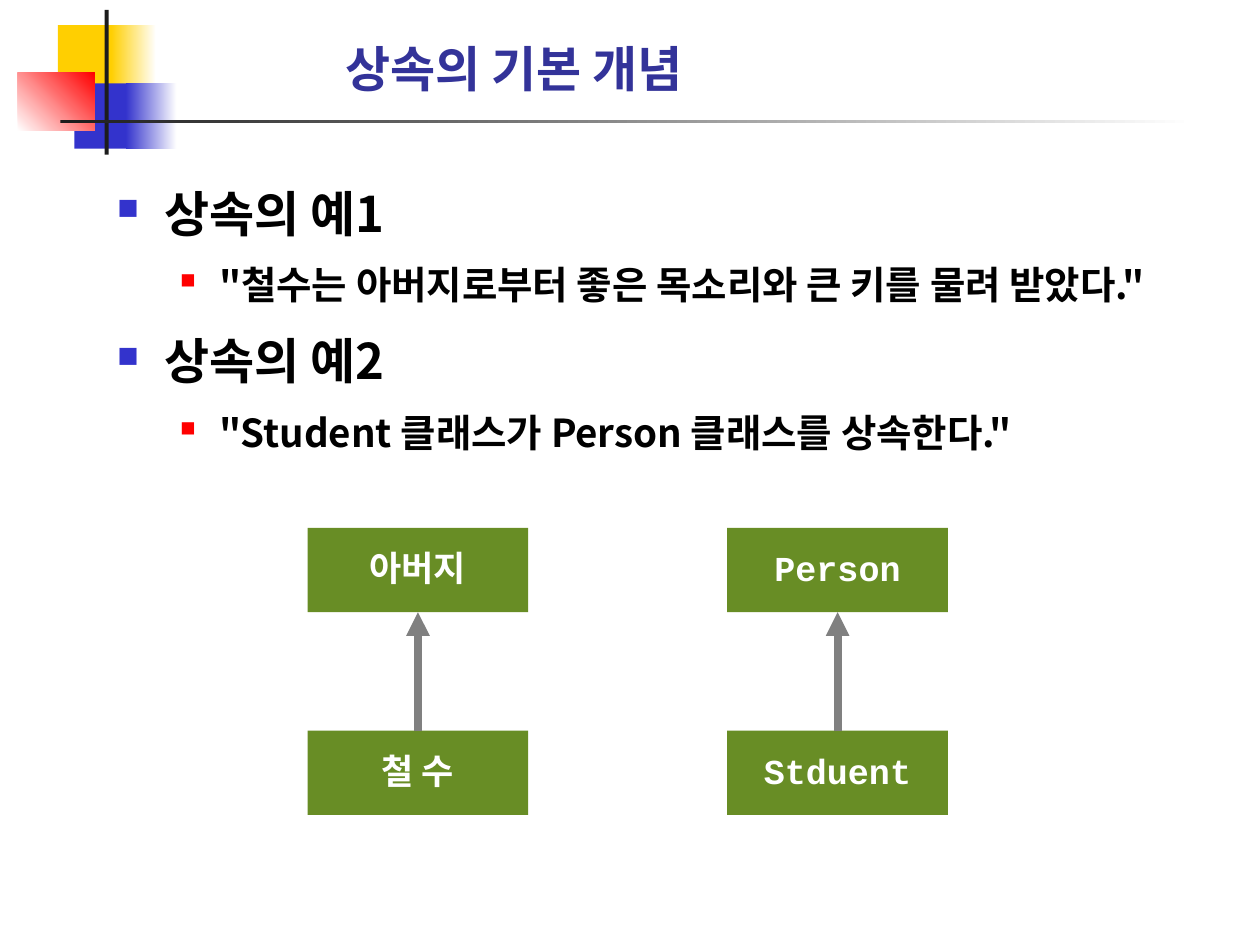
"""Build the slide on the basic idea of inheritance."""
from lxml import etree
from pptx import Presentation, util as u
from pptx.dml.color import RGBColor
from pptx.enum import shapes, text
from pptx.oxml.ns import qn

COLORS = {
    "yellow": "FFCF01", "blue": "3333CC", "red": "FF0000", "ink": "1C1C1C",
    "white": "FFFFFF", "title": "333399", "black": "000000",
    "green": "688D25", "gray": "808080",
}
KOREAN = "Noto Sans CJK KR"
DECOR = [
    (1.17, 0.51, 1.22, 1.32, ["yellow"], 0),
    (2.24, 0.51, 0.91, 1.32, ["yellow", "white"], 0),
    (1.5, 1.68, 1.17, 1.32, ["blue"], 0),
    (2.54, 1.68, 1.02, 1.32, ["blue", "white"], 0),
    (0.36, 1.47, 1.55, 1.17, ["white", "red"], 45),
    (2.11, 0.2, 0.08, 2.92, ["ink"], 0),
    (1.22, 2.41, 22.86, 0.08, ["ink", "white"], 0),
]
LEVELS = [
    {"size": 28, "before": 7, "left": 0.95, "hang": 0.95, "color": "blue", "pct": 60},
    {"size": 22, "before": 5.5, "left": 2.06, "hang": 0.79, "color": "red", "pct": 55},
]
BULLETS = [
    (0, "상속의 예1"),
    (1, '"철수는 아버지로부터 좋은 목소리와 큰 키를 물려 받았다."'),
    (0, "상속의 예2"),
    (1, '"Student 클래스가 Person 클래스를 상속한다."'),
]
PAIRS = [(6.2, "아버지", "철 수"), (14.66, "Person", "Stduent")]
PARENT_TOP, CHILD_TOP = 10.64, 14.73


def rgb(name):
    return RGBColor.from_string(COLORS[name])


def style(p, size, color, font):
    for r in p.runs:
        r.font.size, r.font.bold, r.font.name = u.Pt(size), True, font
        r.font.color.rgb = rgb(color)
        etree.SubElement(r._r.get_or_add_rPr(), qn("a:ea"), typeface=KOREAN)


def add_rect(s, left, top, width, height, colors, angle=0):
    sp = s.shapes.add_shape(shapes.MSO_SHAPE.RECTANGLE, u.Cm(left), u.Cm(top),
                            u.Cm(width), u.Cm(height))
    sp.shadow.inherit = False
    sp.line.fill.background()
    if len(colors) == 1:
        sp.fill.solid()
        sp.fill.fore_color.rgb = rgb(colors[0])
    else:
        sp.fill.gradient()
        sp.fill.gradient_angle = angle
        for stop, color, position in zip(sp.fill.gradient_stops, colors, (0, 1)):
            stop.color.rgb = rgb(color)
            stop.position = position
    return sp


def add_text(s, left, top, width, height):
    tf = s.shapes.add_textbox(u.Cm(left), u.Cm(top), u.Cm(width), u.Cm(height)).text_frame
    tf.word_wrap = True
    return tf


def add_title(s, title):
    tf = add_text(s, 6.71, 0.64, 10.8, 1.45)
    tf.vertical_anchor = text.MSO_ANCHOR.BOTTOM
    tf.text = title
    style(tf.paragraphs[0], 28, "title", "Lato")


def add_bullets(s, items):
    tf = add_text(s, 2.11, 3.33, 23.29, 7.29)
    for i, (level, line) in enumerate(items):
        look = LEVELS[level]
        p = tf.add_paragraph() if i else tf.paragraphs[0]
        p.text = line
        p.level = level
        p.line_spacing = 1.2
        p.space_before = u.Pt(look["before"] if i else 0)
        pPr = p._p.get_or_add_pPr()
        pPr.set("marL", str(u.Cm(look["left"])))
        pPr.set("indent", str(-u.Cm(look["hang"])))
        color = etree.SubElement(pPr, qn("a:buClr"))
        etree.SubElement(color, qn("a:srgbClr"), val=COLORS[look["color"]])
        etree.SubElement(pPr, qn("a:buSzPct"), val=str(look["pct"] * 1000))
        etree.SubElement(pPr, qn("a:buChar"), char="■")
        style(p, look["size"], "black", KOREAN)


def add_class_box(s, left, top, name):
    sp = add_rect(s, left, top, 4.45, 1.7, ["green"])
    tf = sp.text_frame
    tf.word_wrap = False
    tf.vertical_anchor = text.MSO_ANCHOR.MIDDLE
    tf.text = name
    p = tf.paragraphs[0]
    p.alignment = text.PP_ALIGN.CENTER
    p.line_spacing = 0.9
    style(p, 20, "white", "Courier New")
    return sp


def add_arrow(s, child, parent):
    c = s.shapes.add_connector(shapes.MSO_CONNECTOR.STRAIGHT, 0, 0, 0, 0)
    c.begin_connect(child, 0)
    c.end_connect(parent, 2)
    c.line.color.rgb = rgb("gray")
    c.line.width = u.Pt(4.5)
    etree.SubElement(c.line._get_or_add_ln(), qn("a:tailEnd"), type="triangle")
    etree.SubElement(c._element.spPr, qn("a:effectLst"))


def main():
    prs = Presentation()
    prs.slide_width, prs.slide_height = u.Cm(25.4), u.Cm(19.05)
    s = prs.slides.add_slide(prs.slide_layouts[6])
    for block in DECOR:
        add_rect(s, *block)
    add_title(s, "상속의 기본 개념")
    add_bullets(s, BULLETS)
    for left, parent, child in PAIRS:
        parent_box = add_class_box(s, left, PARENT_TOP, parent)
        child_box = add_class_box(s, left, CHILD_TOP, child)
        add_arrow(s, child_box, parent_box)
    prs.save("out.pptx")


if __name__ == "__main__":
    main()
